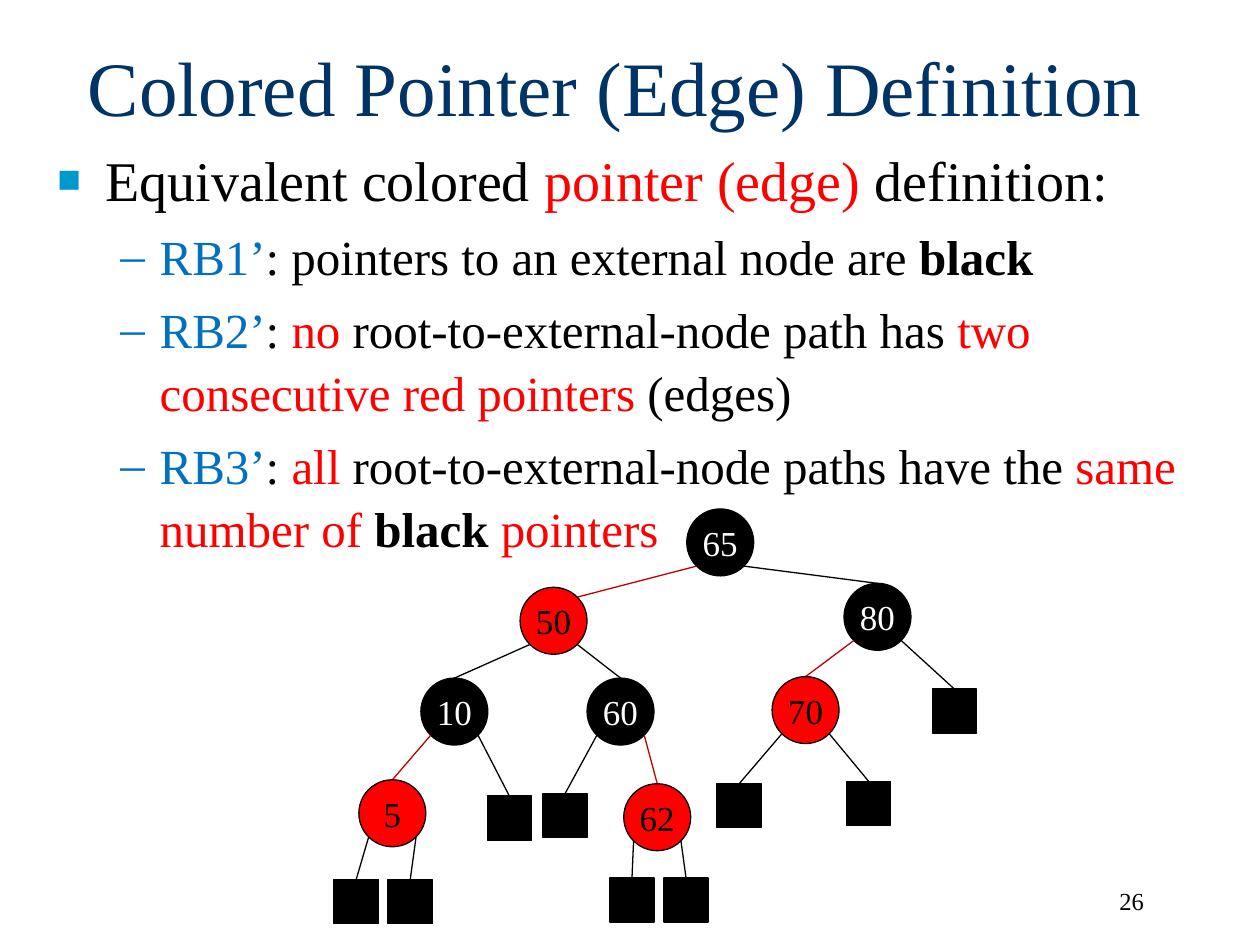
from lxml import etree
from pptx import Presentation
from pptx.dml.color import RGBColor
from pptx.enum.shapes import MSO_CONNECTOR, MSO_SHAPE
from pptx.enum.text import MSO_ANCHOR, PP_ALIGN
from pptx.oxml.ns import qn
from pptx.util import Cm, Pt

LINE = MSO_CONNECTOR.STRAIGHT
OVAL, RECT = MSO_SHAPE.OVAL, MSO_SHAPE.RECTANGLE
MID, TOP = MSO_ANCHOR.MIDDLE, MSO_ANCHOR.TOP
LEFT, RIGHT, CENTER = PP_ALIGN.LEFT, PP_ALIGN.RIGHT, PP_ALIGN.CENTER

HUES = {"black": "000000", "white": "FFFFFF", "red": "FF0000",
        "edge": "C00000", "navy": "003366", "blue": "0070C0",
        "bullet": "0099CC"}
NODE, LEAF = 1.35, 0.89  # sizes in cm
BEND = NODE / 2 * 0.707  # offset of a circle's diagonal points

# Each paragraph: level, then runs of (text, colour, bold)
POINTS = [
    (0, [("Equivalent colored ", "black", False),
         ("pointer (edge)", "red", False),
         (" definition:", "black", False)]),
    (1, [("RB1’", "blue", False),
         (": pointers to an external node are ", "black", False),
         ("black", "black", True)]),
    (1, [("RB2’", "blue", False), (": ", "black", False),
         ("no", "red", False),
         (" root-to-external-node path has ", "black", False),
         ("two consecutive red pointers ", "red", False),
         ("(edges)", "black", False)]),
    (1, [("RB3’", "blue", False), (": ", "black", False),
         ("all", "red", False),
         (" root-to-external-node paths have the ", "black", False),
         ("same number of ", "red", False),
         ("black", "black", True), (" pointers", "red", False)]),
]
# Level style: size, left margin, hang, bullet, its colour, its scale
LEVELS = [(32, 0.97, 0.97, "■", "bullet", 70),
          (28, 2.06, 0.79, "–", None, 100)]

# Key: centre x, top y, colour, parent
NODES = {
    "65": (14.52, 10.26, "black", None),
    "50": (11.16, 11.84, "red", "65"),
    "80": (17.69, 11.76, "black", "65"),
    "70": (16.24, 13.64, "red", "80"),
    "60": (12.51, 13.67, "black", "50"),
    "10": (9.16, 13.67, "black", "50"),
    "5": (7.91, 15.72, "red", "10"),
    "62": (13.25, 15.8, "red", "60"),
}
# External nodes: centre x, top y, parent
LEAVES = [(7.18, 17.73, "5"), (8.27, 17.73, "5"), (10.27, 16.05, "10"),
          (11.39, 16, "60"), (12.74, 17.7, "62"), (13.83, 17.7, "62"),
          (14.9, 15.8, "70"), (17.51, 15.75, "70"), (19.24, 13.89, "80")]


def hue(name):
    return RGBColor.from_string(HUES[name])


class Deck:
    font = "Times New Roman"

    def __init__(self, slide):
        self.slide = slide

    def style(self, para, size, color, align):
        para.alignment = align
        para.font.name, para.font.size = self.font, Pt(size)
        para.font.color.rgb = hue(color)

    def box(self, x, y, w, h, anchor=TOP):
        frame = self.slide.shapes.add_textbox(
            Cm(x), Cm(y), Cm(w), Cm(h)).text_frame
        frame.word_wrap = True
        frame.vertical_anchor = anchor
        return frame

    def label(self, text, area, size, color, align, anchor=TOP):
        para = self.box(*area, anchor).paragraphs[0]
        para.text = text
        self.style(para, size, color, align)

    def bullet(self, para, level):
        size, left, hang, mark, color, scale = LEVELS[level]
        props = para._p.get_or_add_pPr()
        props.set("marL", str(Cm(left)))
        props.set("indent", str(-Cm(hang)))
        tags = [("buSzPct", {"val": str(scale * 1000)}),
                ("buFont", {"typeface": self.font}),
                ("buChar", {"char": mark})]
        items = [etree.Element(qn("a:" + tag), atts) for tag, atts in tags]
        if color:
            tint = etree.Element(qn("a:buClr"))
            etree.SubElement(tint, qn("a:srgbClr"), val=HUES[color])
            items.insert(0, tint)
        # Bullet tags must stand before the default run style
        mate = props.find(qn("a:defRPr"))
        for item in items:
            mate.addprevious(item)

    def points(self, rows, area):
        frame = self.box(*area)
        for i, (level, runs) in enumerate(rows):
            para = frame.add_paragraph() if i else frame.paragraphs[0]
            size = LEVELS[level][0]
            para.level = level
            para.line_spacing = 1.07
            para.space_before = Pt(size * 0.2)
            self.style(para, size, "black", LEFT)
            self.bullet(para, level)
            for text, color, bold in runs:
                run = para.add_run()
                run.text = text
                run.font.bold = bold
                run.font.color.rgb = hue(color)

    def shape(self, kind, x, y, size, color):
        item = self.slide.shapes.add_shape(
            kind, Cm(x - size / 2), Cm(y), Cm(size), Cm(size))
        item.shadow.inherit = False
        item.fill.solid()
        item.fill.fore_color.rgb = hue(color)
        item.line.color.rgb = hue("black")
        item.line.width = Pt(0.75)
        return item

    def node(self, key, x, y, color):
        frame = self.shape(OVAL, x, y, NODE, color).text_frame
        frame.word_wrap = False
        frame.vertical_anchor = MID
        para = frame.paragraphs[0]
        para.text = key
        self.style(para, 20, "black" if color == "red" else "white", CENTER)

    def edge(self, key, x, y, color):
        px, py = NODES[key][:2]
        side = 1 if x > px else -1
        line = self.slide.shapes.add_connector(
            LINE, Cm(px + side * BEND), Cm(py + NODE / 2 + BEND),
            Cm(x), Cm(y))
        line.line.color.rgb = hue(color)
        line.line.width = Pt(0.75)
        etree.SubElement(line._element.spPr, qn("a:effectLst"))


def main():
    show = Presentation()
    show.slide_width, show.slide_height = Cm(25.4), Cm(19.05)
    deck = Deck(show.slides.add_slide(show.slide_layouts[6]))

    # Page number, title and rules
    deck.label("26", (18.03, 17.73, 5.28, 1.27), 14, "black", RIGHT)
    deck.label("Colored Pointer (Edge) Definition",
               (0.91, 0.13, 22.99, 3.18), 44, "navy", CENTER, MID)
    deck.points(POINTS, (0.91, 2.72, 23.9, 14.48))

    # Tree: a pointer to a red node is red
    for key, (x, y, color, mother) in NODES.items():
        if key == "50":  # met at its upper right
            deck.edge(mother, x + BEND, y + NODE / 2 - BEND, "edge")
        elif mother:
            deck.edge(mother, x, y, "edge" if color == "red" else "black")
        deck.node(key, x, y, color)

    # External nodes
    for x, y, mother in LEAVES:
        deck.edge(mother, x, y, "black")
        deck.shape(RECT, x, y, LEAF, "black")

    show.save("out.pptx")


if __name__ == "__main__":
    main()
